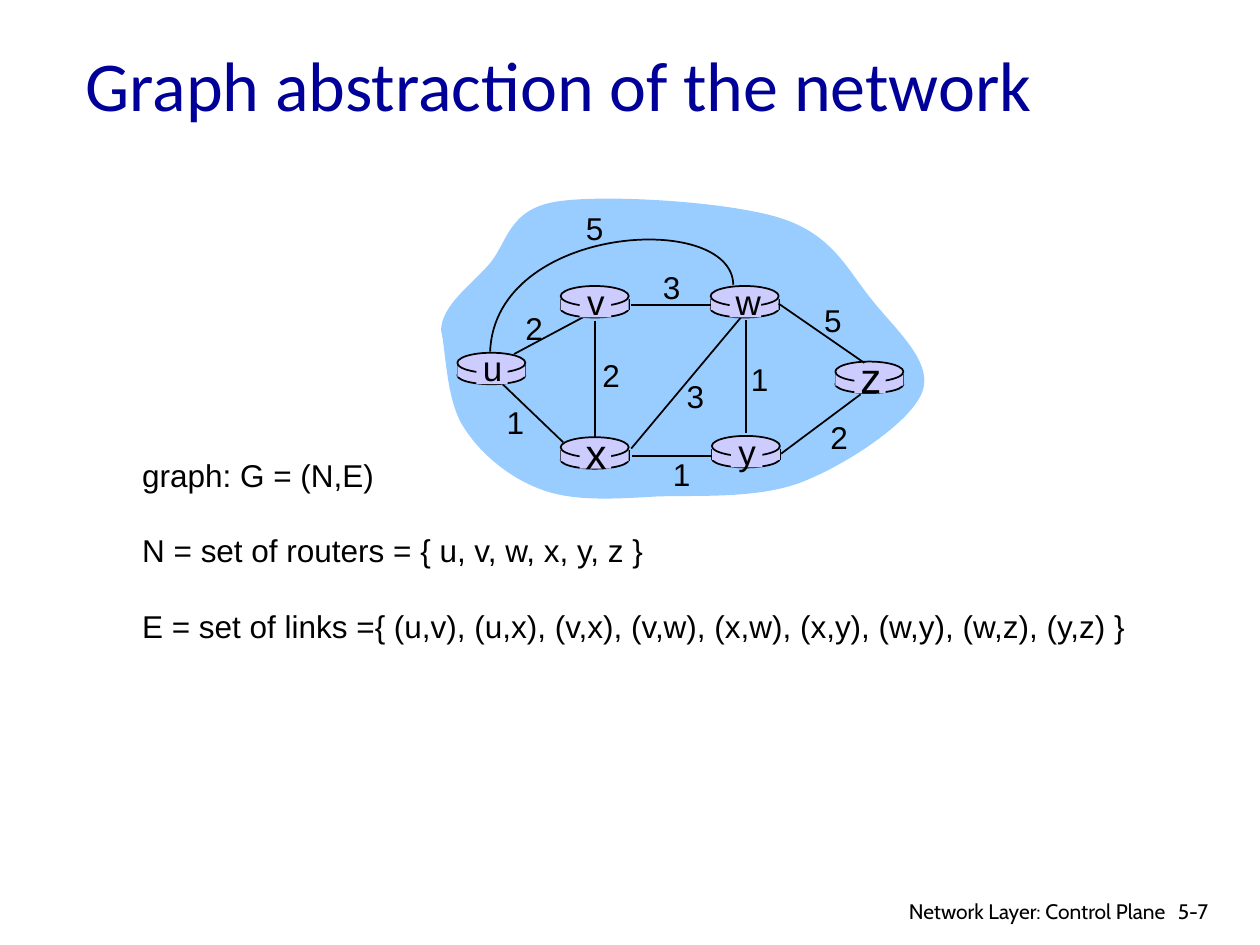
"""Build the slide that presents a router network as a weighted graph."""
from lxml.etree import SubElement
from pptx import Presentation
from pptx.dml.color import RGBColor
from pptx.enum.shapes import MSO_CONNECTOR, MSO_SHAPE
from pptx.enum.text import MSO_ANCHOR, PP_ALIGN
from pptx.oxml.ns import qn
from pptx.util import Inches, Pt

BLACK = RGBColor(0x00, 0x00, 0x00)
NAVY = RGBColor(0x00, 0x00, 0x99)
SKY = RGBColor(0x99, 0xCC, 0xFF)
LILAC = RGBColor(0xCC, 0xCC, 0xFF)

TITLE = "Graph abstraction of the network"
DEFINITIONS = [
    "graph: G = (N,E)",
    "N = set of routers = { u, v, w, x, y, z }",
    "E = set of links ={ (u,v), (u,x), (v,x), (v,w), (x,w), (x,y), (w,y), (w,z), (y,z) }",
]
FOOTERS = [
    ("Network Layer: Control Plane", 6.97, 2.38, PP_ALIGN.RIGHT),
    ("5-7", 9.25, 0.6, PP_ALIGN.LEFT),
]
ROUTERS = [
    ("u", 3.63, 2.80, 20),
    ("x", 4.45, 3.47, 24),
    ("v", 4.45, 2.27, 20),
    ("w", 5.64, 2.27, 20),
    ("y", 5.65, 3.46, 20),
    ("z", 6.63, 2.87, 24),
]
UV_LINK = ((4.08, 2.81), (4.68, 2.49))
LINKS = [
    ((5.92, 2.54), (5.92, 3.44)),
    ((4.72, 2.55), (4.72, 3.48)),
    ((5.01, 3.56), (5.88, 2.52)),
    ((6.20, 3.60), (6.83, 3.13)),
    ((5.65, 3.62), (5.02, 3.62)),
    ((4.47, 3.51), (3.99, 3.05)),
    ((5.64, 2.42), (5.01, 2.42)),
    ((6.86, 2.88), (6.18, 2.41)),
]
COSTS = [
    ("2", 4.24, 2.60), ("2", 4.85, 2.98), ("1", 4.09, 3.35), ("3", 5.52, 3.14),
    ("1", 5.41, 3.76), ("1", 6.03, 3.01), ("2", 6.66, 3.47), ("5", 6.61, 2.54),
    ("3", 5.33, 2.28), ("5", 4.72, 1.81),
]
CLOUD = [
    (3.5, 2.62), (3.51, 2.42), (3.73, 2.27), (3.88, 2.1),
    (4.03, 1.93), (4.03, 1.66), (4.42, 1.6), (4.8, 1.54), (5.78, 1.6), (6.19, 1.73),
    (6.61, 1.86), (6.73, 2.15), (6.92, 2.38), (7.1, 2.61), (7.41, 2.87), (7.32, 3.11),
    (7.23, 3.35), (6.73, 3.68), (6.38, 3.82), (6.03, 3.96), (5.57, 3.93), (5.22, 3.94),
    (4.88, 3.96), (4.56, 3.98), (4.31, 3.89), (4.05, 3.8), (3.81, 3.6), (3.68, 3.39),
    (3.54, 3.18), (3.54, 2.78), (3.5, 2.62),
]
UW_ARC = [(5.82, 2.26), (5.81, 1.67), (3.93, 1.78), (3.89, 2.79)]
ROUTER_WIDTH = 0.54


def style(shape, fill=None, outlined=False):
    shape.shadow.inherit = False
    if fill is None:
        shape.fill.background()
    else:
        shape.fill.solid()
        shape.fill.fore_color.rgb = fill
    if outlined:
        shape.line.color.rgb = BLACK
        shape.line.width = Pt(1)
    else:
        shape.line.fill.background()


def add_block(shapes, kind, left, top, width, height, outlined=False):
    block = shapes.add_shape(kind, *map(Inches, (left, top, width, height)))
    style(block, LILAC, outlined)


def add_link(shapes, start, end):
    link = shapes.add_connector(MSO_CONNECTOR.STRAIGHT, *map(Inches, start + end))
    link.line.color.rgb = BLACK
    link.line.width = Pt(1)
    SubElement(link._element.spPr, qn("a:effectLst"))


def add_curve(shapes, controls, fill=None, outlined=False):
    start, *rest = [tuple(map(Inches, point)) for point in controls]
    builder = shapes.build_freeform(*start)
    builder.add_line_segments(rest, close=fill is not None)
    curve = builder.convert_to_shape()
    outline = next(curve._element.iter(qn("a:path")))
    segments = outline.findall(qn("a:lnTo"))
    for first in range(0, len(rest), 3):
        bezier = outline.makeelement(qn("a:cubicBezTo"))
        segments[first].addprevious(bezier)
        for segment in segments[first:first + 3]:
            bezier.append(segment[0])
            outline.remove(segment)
    style(curve, fill, outlined)


def add_text(shapes, lines, left, top, width, height, size, font="Arial",
             align=PP_ALIGN.LEFT, gap=0):
    frame = shapes.add_textbox(*map(Inches, (left, top, width, height))).text_frame
    frame.word_wrap = False
    frame.text = "\n".join(lines)
    for paragraph in frame.paragraphs:
        paragraph.alignment = align
        paragraph.space_after = Pt(gap)
        paragraph.font.name = font
        paragraph.font.size = Pt(size)
        paragraph.font.color.rgb = BLACK


def add_label(shapes, label, center_x, center_y, size):
    width, height = 0.36, size / 60 + 0.1
    add_text(shapes, [label], center_x - width / 2, center_y - height / 2,
             width, height, size, align=PP_ALIGN.CENTER)


def add_router(shapes, left, top):
    right, side_top = left + ROUTER_WIDTH, top + 0.1
    add_block(shapes, MSO_SHAPE.OVAL, left, top + 0.11, ROUTER_WIDTH, 0.14, True)
    for side in (left, right):
        add_link(shapes, (side, side_top), (side, side_top + 0.09))
    add_block(shapes, MSO_SHAPE.RECTANGLE, left, side_top, ROUTER_WIDTH, 0.09)
    add_block(shapes, MSO_SHAPE.OVAL, left, top, ROUTER_WIDTH, 0.16, True)


def add_graph(shapes):
    add_curve(shapes, CLOUD, fill=SKY)
    add_link(shapes, *UV_LINK)
    for _, left, top, _ in ROUTERS:
        add_router(shapes, left, top)
    for start, end in LINKS:
        add_link(shapes, start, end)
    add_curve(shapes, UW_ARC, outlined=True)
    for name, left, top, size in ROUTERS:
        add_block(shapes, MSO_SHAPE.RECTANGLE, left + 0.15, top + 0.02, 0.25, 0.23)
        add_label(shapes, name, left + 0.28, top + 0.12, size)
    for cost, center_x, center_y in COSTS:
        add_label(shapes, cost, center_x, center_y, 18)


def add_title(title):
    title.left, title.top, title.width, title.height = map(Inches, (0.58, 0.23, 8.5, 0.87))
    title.text_frame.text = TITLE
    title.text_frame.vertical_anchor = MSO_ANCHOR.MIDDLE
    heading = title.text_frame.paragraphs[0]
    heading.alignment = PP_ALIGN.LEFT
    heading.font.name = "Calibri"
    heading.font.size = Pt(40)
    heading.font.color.rgb = NAVY


def main():
    deck = Presentation()
    deck.slide_width, deck.slide_height = Inches(10), Inches(7.5)
    slide = deck.slides.add_slide(deck.slide_layouts[5])
    add_title(slide.shapes.title)
    add_graph(slide.shapes)
    add_text(slide.shapes, DEFINITIONS, 1.03, 3.57, 8.09, 1.6, 18, gap=21.5)
    for text, left, width, align in FOOTERS:
        add_text(slide.shapes, [text], left, 7.08, width, 0.28, 12, "Cabin", align)
    deck.save("out.pptx")


if __name__ == "__main__":
    main()
